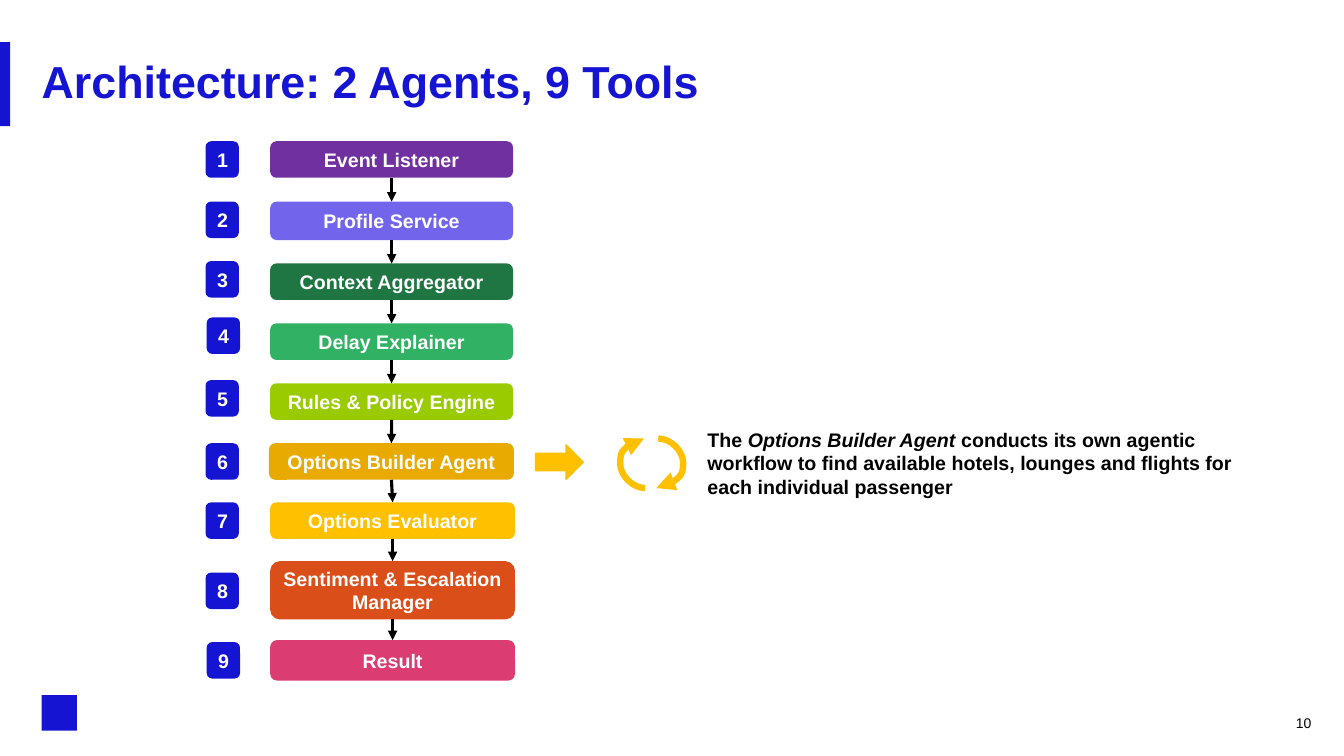
from itertools import pairwise

from lxml import etree
from pptx import Presentation
from pptx.dml.color import RGBColor
from pptx.enum.shapes import MSO_CONNECTOR, MSO_SHAPE
from pptx.enum.text import MSO_ANCHOR, PP_ALIGN
from pptx.oxml.ns import qn
from pptx.util import Cm, Pt

RECTANGLE = MSO_SHAPE.RECTANGLE
ROUNDED = MSO_SHAPE.ROUNDED_RECTANGLE
RIGHT_ARROW = MSO_SHAPE.RIGHT_ARROW
STRAIGHT = MSO_CONNECTOR.STRAIGHT
CURVE = MSO_CONNECTOR.CURVE
LEFT, CENTER, RIGHT = PP_ALIGN.LEFT, PP_ALIGN.CENTER, PP_ALIGN.RIGHT
MIDDLE = MSO_ANCHOR.MIDDLE
BOTTOM_SIDE, TOP_SIDE = 2, 0

BLUE, AMBER, BLACK, WHITE = "1414D2", "FFC000", "000000", "FFFFFF"
LOOP_BULGE = 0.63

# label, fill, left, top, width, height, badge left, badge top
STEPS = [
    ("Event Listener", "7030A0", 6.81, 3.56, 6.12, 0.92, 5.18, 3.56),
    ("Profile Service", "7365EB", 6.81, 5.08, 6.12, 0.97, 5.18, 5.08),
    ("Context Aggregator", "207643", 6.81, 6.64, 6.12, 0.92, 5.18, 6.58),
    ("Delay Explainer", "31B164", 6.81, 8.15, 6.12, 0.92, 5.21, 8.0),
    ("Rules & Policy Engine", "99CB00", 6.81, 9.66, 6.12, 0.92, 5.18, 9.58),
    ("Options Builder Agent", "E9AA00", 6.78, 11.17, 6.17, 0.92, 5.18, 11.17),
    ("Options Evaluator", AMBER, 6.81, 12.66, 6.17, 0.92, 5.18, 12.66),
    ("Sentiment & Escalation Manager", "DA4E1A", 6.81, 14.14, 6.17, 1.47, 5.18, 14.43),
    ("Result", "DB3C71", 6.81, 16.13, 6.17, 1.02, 5.21, 16.18),
]


def colour(code):
    return RGBColor.from_string(code)


def style_font(para, size, code, bold):
    font = para.font
    font.name = "Arial"
    font.size = Pt(size)
    font.bold = bold
    font.color.rgb = colour(code)


def add_block(page, preset, left, top, width, height, fill):
    block = page.shapes.add_shape(preset, Cm(left), Cm(top), Cm(width), Cm(height))
    block.shadow.inherit = False
    block.fill.solid()
    block.fill.fore_color.rgb = colour(fill)
    block.line.fill.background()
    return block


def add_label(page, left, top, width, height, fill, text):
    label = add_block(page, ROUNDED, left, top, width, height, fill)
    frame = label.text_frame
    frame.word_wrap = True
    frame.vertical_anchor = MIDDLE
    para = frame.paragraphs[0]
    para.text = text
    para.alignment = CENTER
    style_font(para, 14, WHITE, True)
    return label


def add_text(page, left, top, width, height, spans, size, code, bold=True,
             align=LEFT, inset=True):
    """Add a text box; spans are (text, italic) pairs."""
    box = page.shapes.add_textbox(Cm(left), Cm(top), Cm(width), Cm(height))
    frame = box.text_frame
    frame.word_wrap = True
    frame.vertical_anchor = MIDDLE
    if not inset:
        frame.margin_left = frame.margin_right = 0
        frame.margin_top = frame.margin_bottom = 0
    para = frame.paragraphs[0]
    para.alignment = align
    for text, italic in spans:
        span = para.add_run()
        span.text = text
        if italic:
            span.font.italic = True
    style_font(para, size, code, bold)
    return para


def style_arrow(arrow, code, width):
    arrow.line.color.rgb = colour(code)
    arrow.line.width = Pt(width)
    properties = arrow._element.spPr
    etree.SubElement(properties.find(qn("a:ln")), qn("a:tailEnd"), type="triangle")
    etree.SubElement(properties, qn("a:effectLst"))


def add_step_arrow(page, upper, lower):
    arrow = page.shapes.add_connector(STRAIGHT, 0, 0, 0, 0)
    arrow.begin_connect(upper, BOTTOM_SIDE)
    arrow.end_connect(lower, TOP_SIDE)
    style_arrow(arrow, BLACK, 2.25)


def add_loop_arrow(page, x1, y1, x2, y2, bulge):
    """Add a curved arrow that swings out sideways by bulge from its start."""
    arrow = page.shapes.add_connector(CURVE, Cm(x1), Cm(y1), Cm(x2), Cm(y2))
    adjustments = arrow._element.spPr.find(qn("a:prstGeom")).get_or_add_avLst()
    ratio = round(bulge / (x2 - x1) * 100000)
    etree.SubElement(adjustments, qn("a:gd"), name="adj1", fmla=f"val {ratio}")
    style_arrow(arrow, AMBER, 4.5)


def add_pipeline(page):
    boxes = []
    for number, step in enumerate(STEPS, 1):
        text, fill, left, top, width, height, badge_left, badge_top = step
        boxes.append(add_label(page, left, top, width, height, fill, text))
        add_label(page, badge_left, badge_top, 0.84, 0.92, BLUE, str(number))
    for upper, lower in pairwise(boxes):
        add_step_arrow(page, upper, lower)


def add_agent_note(page):
    pointer = add_block(page, RIGHT_ARROW, 13.5, 11.21, 1.2, 0.87, AMBER)
    pointer.line.color.rgb = colour(AMBER)
    pointer.line.width = Pt(1)
    add_loop_arrow(page, 16.59, 11.05, 16.54, 12.3, LOOP_BULGE)
    add_loop_arrow(page, 16.26, 12.3, 16.23, 11.05, -LOOP_BULGE)
    add_text(page, 17.58, 10.64, 14.48, 2.06, [
        ("The ", False),
        ("Options Builder Agent", True),
        (" conducts its own agentic workflow to find\u00a0available hotels, "
         "lounges and flights for each individual passenger", False),
    ], 14, BLACK)


def main():
    deck = Presentation()
    deck.slide_width, deck.slide_height = Cm(33.87), Cm(19.05)
    page = deck.slides.add_slide(deck.slide_layouts[6])
    add_block(page, RECTANGLE, 0, 1.06, 0.26, 2.12, BLUE)
    add_block(page, RECTANGLE, 1.05, 17.52, 0.89, 0.89, BLUE)
    title = add_text(page, 1.05, 1.5, 31.75, 1.22,
                     [("Architecture: 2 Agents, 9 Tools", False)], 32, BLUE, inset=False)
    title.line_spacing = 0.9
    add_text(page, 32.05, 17.98, 1.0, 0.48, [("10", False)], 10, BLACK,
             bold=False, align=RIGHT, inset=False)
    add_pipeline(page)
    add_agent_note(page)
    deck.save("out.pptx")


if __name__ == "__main__":
    main()
